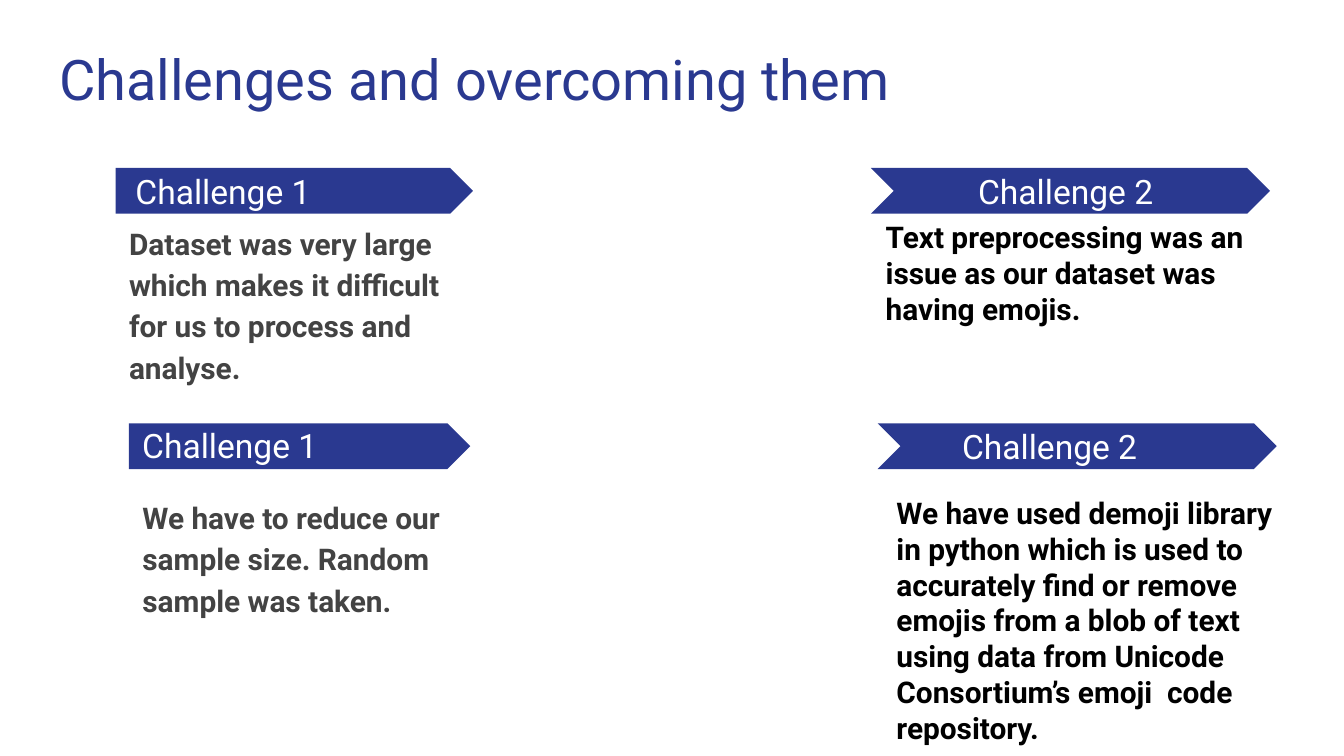
from dataclasses import dataclass

import pptx
import pptx.dml.color
import pptx.enum.shapes
import pptx.enum.text
import pptx.oxml.ns
import pptx.util

Inches = pptx.util.Inches
RGB = pptx.dml.color.RGBColor.from_string
SHAPE = pptx.enum.shapes.MSO_SHAPE
ANCHOR = pptx.enum.text.MSO_ANCHOR
Box = tuple[float, float, float, float]


@dataclass(frozen=True)
class Theme:
    font: str = "Roboto"
    blue: str = "2A3990"
    white: str = "FFFFFF"
    gray: str = "434343"
    black: str = "000000"
    title: int = 30
    label: int = 18
    body: int = 16


@dataclass(frozen=True)
class Card:
    arrow: pptx.enum.shapes.MSO_SHAPE
    arrow_box: Box
    label: str
    label_box: Box
    text: str
    text_box: Box
    color: str
    line_spacing: float = 1.0
    space_after: int = 0


THEME = Theme()
CARDS = [
    Card(SHAPE.PENTAGON, (0.86, 1.25, 2.66, 0.34),
         "Challenge 1", (0.91, 1.36, 2.43, 0.12),
         "Dataset was very large which makes it difficult for us to process and analyse.",
         (0.86, 1.54, 2.66, 0.44), THEME.gray, 1.15),
    Card(SHAPE.CHEVRON, (6.48, 1.25, 2.97, 0.34),
         "Challenge 2", (7.18, 1.36, 2.43, 0.12),
         "Text preprocessing was an issue as our dataset was having emojis.",
         (6.49, 1.53, 2.94, 1.01), THEME.black),
    Card(SHAPE.PENTAGON, (0.96, 3.15, 2.54, 0.34),
         "Challenge 1", (0.96, 3.23, 2.32, 0.17),
         "We have to reduce our sample size. Random sample was taken.",
         (0.96, 3.58, 2.54, 1.47), THEME.gray, 1.15, 8),
    Card(SHAPE.CHEVRON, (6.53, 3.15, 2.97, 0.34),
         "Challenge 2", (7.06, 3.15, 2.32, 0.34),
         "We have used demoji library in python which is used to  accurately find or "
         "remove emojis from a blob of text using data from Unicode Consortium’s "
         "emoji  code repository.",
         (6.57, 3.58, 3.21, 2.09), THEME.black),
]


def place(sp, box: Box) -> None:
    sp.left, sp.top, sp.width, sp.height = map(Inches, box)


def write(sp, text: str, *, size: int, color: str, bold: bool = False,
          anchor=ANCHOR.TOP, line_spacing: float = 1.0, space_after: int = 0) -> None:
    tf = sp.text_frame
    tf.word_wrap = True
    tf.auto_size = pptx.enum.text.MSO_AUTO_SIZE.NONE
    tf.vertical_anchor = anchor
    tf.margin_left = tf.margin_right = tf.margin_top = tf.margin_bottom = Inches(0.1)
    p = tf.paragraphs[0]
    p.alignment = pptx.enum.text.PP_ALIGN.LEFT
    p.line_spacing = line_spacing
    p.space_before = pptx.util.Pt(0)
    p.space_after = pptx.util.Pt(space_after)
    pPr = p._p.get_or_add_pPr()
    pPr.set("marL", "0")
    pPr.set("indent", "0")
    pPr.append(pptx.oxml.parse_xml(f"<a:buNone {pptx.oxml.ns.nsdecls('a')}/>"))
    r = p.add_run()
    r.text = text
    r.font.name = THEME.font
    r.font.size = pptx.util.Pt(size)
    r.font.bold = bold
    r.font.color.rgb = RGB(color)


def draw_card(s, body, card: Card) -> None:
    arrow = s.shapes.add_shape(card.arrow, *map(Inches, card.arrow_box))
    arrow.shadow.inherit = False
    arrow.fill.solid()
    arrow.fill.fore_color.rgb = RGB(THEME.blue)
    arrow.line.fill.background()
    label = s.shapes.add_textbox(*map(Inches, card.label_box))
    write(label, card.label, size=THEME.label, color=THEME.white, anchor=ANCHOR.MIDDLE)
    place(body, card.text_box)
    write(body, card.text, size=THEME.body, color=card.color, bold=True,
          line_spacing=card.line_spacing, space_after=card.space_after)


def main() -> None:
    prs = pptx.Presentation()
    prs.slide_width = Inches(10)
    prs.slide_height = Inches(10 * 9 / 16)
    s = prs.slides.add_slide(prs.slide_layouts.get_by_name("Comparison"))
    s.background.fill.solid()
    s.background.fill.fore_color.rgb = RGB(THEME.white)
    title, *bodies = s.placeholders
    place(title, (0.34, 0.23, 9.32, 0.66))
    write(title, "Challenges and overcoming them", size=THEME.title, color=THEME.blue)
    for body, card in zip(bodies, CARDS):
        draw_card(s, body, card)
    prs.save("out.pptx")


if __name__ == "__main__":
    main()
